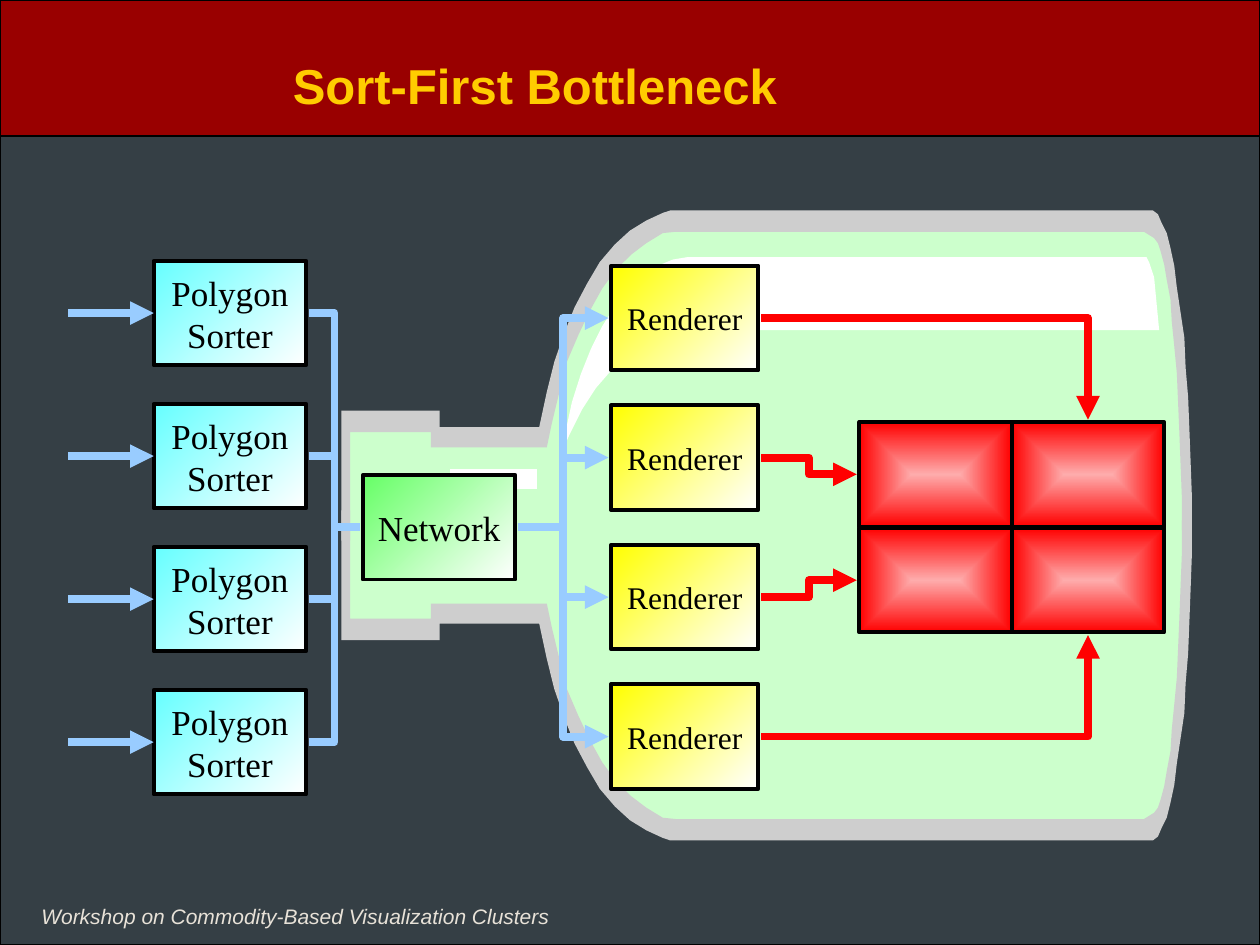
from lxml import etree
from pptx import Presentation
from pptx.dml.color import RGBColor
from pptx.enum import shapes as kinds, text as alignment
from pptx.oxml.ns import qn
from pptx.util import Inches, Pt

TITLE = "Sort-First Bottleneck"
FOOTER = "Workshop on Commodity-Based Visualization Clusters"
SORTER, NETWORK, RENDERER = "Polygon Sorter", "Network", "Renderer"

SLATE = RGBColor(0x35, 0x3F, 0x45)
MAROON = RGBColor(0x99, 0x00, 0x00)
GOLD = RGBColor(0xFF, 0xCC, 0x00)
CREAM = RGBColor(0xE8, 0xE2, 0xD8)
BLACK = RGBColor(0x00, 0x00, 0x00)
WHITE = RGBColor(0xFF, 0xFF, 0xFF)
GLASS = RGBColor(0xCC, 0xFF, 0xCC)
GREY = RGBColor(0xCE, 0xCE, 0xCE)
YELLOW = RGBColor(0xFF, 0xFF, 0x00)
CYAN = RGBColor(0x66, 0xFF, 0xFF)
GREEN = RGBColor(0x66, 0xFF, 0x66)
PINK = RGBColor(0xFE, 0xAC, 0xAC)
RED = RGBColor(0xFF, 0x00, 0x00)
BLUE = RGBColor(0x99, 0xCC, 0xFF)

BOTTLE_AXIS = 4.17
BODY_TOP = [
    (2.75, 3.35), (3.46, 3.35), (3.46, 3.47), (4.3, 3.47), (4.35, 3.22), (4.42, 2.97),
    (4.49, 2.73), (4.59, 2.53), (4.68, 2.34), (4.79, 2.18), (4.9, 2.03), (5.03, 1.92),
    (5.16, 1.83), (5.28, 1.77), (5.35, 1.75), (9.12, 1.75), (9.22, 1.87), (9.3, 2.16),
    (9.36, 2.61), (9.4, 3.18), (9.42, 3.8), (9.42, 4.17)]
RIM_TOP = [
    (9.13, 1.67), (9.15, 1.67), (9.19, 1.7), (9.22, 1.77), (9.26, 1.85), (9.29, 1.97),
    (9.32, 2.11), (9.34, 2.28), (9.37, 2.48), (9.4, 2.68), (9.41, 2.92), (9.43, 3.15),
    (9.44, 3.41), (9.45, 3.67), (9.46, 3.95), (9.46, 4.22), (9.38, 4.21), (9.38, 3.94),
    (9.37, 3.69), (9.36, 3.43), (9.35, 3.19), (9.34, 2.96), (9.32, 2.75), (9.3, 2.55),
    (9.29, 2.38), (9.26, 2.22), (9.24, 2.1), (9.21, 1.99), (9.19, 1.93), (9.16, 1.89),
    (9.08, 1.84), (5.36, 1.84), (5.26, 1.85), (5.13, 1.93), (5.01, 2.02), (4.89, 2.14),
    (4.78, 2.29), (4.68, 2.47), (4.59, 2.66), (4.5, 2.87), (4.44, 3.11), (4.38, 3.36),
    (4.34, 3.55), (3.42, 3.55), (3.42, 3.43), (2.78, 3.43), (2.78, 4.29), (2.71, 4.29),
    (2.71, 3.26), (3.49, 3.26), (3.49, 3.39), (4.28, 3.39), (4.34, 3.11), (4.4, 2.87),
    (4.48, 2.64), (4.56, 2.44), (4.66, 2.25), (4.76, 2.08), (4.88, 1.94), (5, 1.83),
    (5.13, 1.75), (5.26, 1.69), (5.32, 1.67)]
SHINE = [
    (9.1, 2.04), (9.12, 2.08), (9.16, 2.2), (9.2, 2.62), (5.39, 2.62), (5.25, 2.65),
    (5.11, 2.72), (4.98, 2.82), (4.86, 2.93), (4.73, 3.08), (4.62, 3.25), (4.52, 3.45),
    (4.46, 3.59), (4.49, 3.42), (4.54, 3.19), (4.61, 2.97), (4.69, 2.77), (4.78, 2.59),
    (4.88, 2.43), (4.99, 2.3), (5.1, 2.19), (5.22, 2.11), (5.34, 2.06), (5.46, 2.04)]
NECK_SHINE = [(4.26, 3.72), (4.26, 3.88), (3.57, 3.88), (3.57, 3.72)]

BOX_WIDTH, BOX_HEIGHT, GAP = 1.21, 0.83, 0.02
ROWS = 4
SORTER_LEFT, SORTER_TOP, SORTER_PITCH = 1.22, 2.07, 1.135
NETWORK_LEFT, NETWORK_TOP = 2.88, 3.77
RENDERER_LEFT, RENDERER_TOP, RENDERER_PITCH, RENDERER_WIDTH = 4.85, 2.11, 1.107, 1.17
TILE_LEFT, TILE_TOP, TILE_PITCH = 6.82, 3.35, 0.84
INPUT_LEFT = 0.54


def mirrored(points):
    return [(x, 2 * BOTTLE_AXIS - y) for x, y in points]


def add_outline(shapes, points, color):
    start, *others = [(Inches(x), Inches(y)) for x, y in points]
    builder = shapes.build_freeform(*start)
    builder.add_line_segments(others, close=True)
    shape = builder.convert_to_shape()
    shape.shadow.inherit = False
    shape.fill.solid()
    shape.fill.fore_color.rgb = color
    shape.line.fill.background()


def add_rectangle(shapes, left, top, width, height, line_width):
    shape = shapes.add_shape(kinds.MSO_SHAPE.RECTANGLE, *map(Inches, (left, top, width, height)))
    shape.shadow.inherit = False
    shape.line.color.rgb = BLACK
    shape.line.width = Pt(line_width)
    return shape


def add_box(shapes, left, top, width, light, dark):
    shape = add_rectangle(shapes, left, top, width, BOX_HEIGHT, 2.25)
    shape.fill.gradient()
    shape.fill.gradient_angle = 135
    for stop, color in zip(shape.fill.gradient_stops, (light, dark)):
        stop.color.rgb = color
    return shape


def add_text(shape, words, font, size, color, align=alignment.PP_ALIGN.CENTER):
    frame = shape.text_frame
    frame.word_wrap = True
    frame.vertical_anchor = alignment.MSO_ANCHOR.MIDDLE
    paragraph = frame.paragraphs[0]
    paragraph.alignment = align
    run = paragraph.add_run()
    run.text = words
    run.font.name = font
    run.font.size = Pt(size)
    run.font.color.rgb = color
    return run


def add_label_box(shapes, left, top, width, color, words, size):
    shape = add_box(shapes, left, top, width, WHITE, color)
    add_text(shape, words, "Times New Roman", size, BLACK)
    return shape


def add_tile(shapes, left, top):
    shape = add_box(shapes, left, top, BOX_WIDTH, PINK, RED)
    gradient = shape.element.spPr.find(qn("a:gradFill"))
    center = etree.Element(qn("a:path"), {"path": "rect"})
    etree.SubElement(center, qn("a:fillToRect"), {side: "50000" for side in "ltrb"})
    gradient.replace(gradient.find(qn("a:lin")), center)


def add_link(shapes, kind, start, end, color, arrow=True, corner=False):
    connector = shapes.add_connector(kind, *map(Inches, (*start, *end)))
    connector.line.color.rgb = color
    connector.line.width = Pt(4.5)
    properties = connector.element.spPr
    if arrow:
        etree.SubElement(properties.find(qn("a:ln")), qn("a:tailEnd"), type="triangle")
    if corner:
        properties.find(qn("a:prstGeom")).set("prst", "bentConnector2")
    etree.SubElement(properties, qn("a:effectLst"))
    return connector


def add_frame(slide):
    shapes = slide.shapes
    slide.background.fill.solid()
    slide.background.fill.fore_color.rgb = SLATE
    add_rectangle(shapes, 0, 0, 10, 7.5, 0.75).fill.background()
    bar = add_rectangle(shapes, 0, 0, 10, 1.08, 0.75)
    bar.fill.solid()
    bar.fill.fore_color.rgb = MAROON
    footer = shapes.add_textbox(*map(Inches, (0.23, 7.12, 4.24, 0.3)))
    add_text(footer, FOOTER, "Arial", 12, CREAM, alignment.PP_ALIGN.LEFT).font.italic = True
    footer.text_frame.word_wrap = False
    title = shapes.title
    title.left, title.top, title.width, title.height = map(Inches, (0.58, 0.17, 7.33, 1))
    add_text(title, TITLE, "Arial", 28, GOLD).font.bold = True
    title.element.getparent().append(title.element)


def add_bottle(shapes):
    add_outline(shapes, BODY_TOP + mirrored(BODY_TOP)[::-1], GLASS)
    add_outline(shapes, SHINE, WHITE)
    add_outline(shapes, NECK_SHINE, WHITE)
    add_outline(shapes, RIM_TOP, GREY)
    add_outline(shapes, mirrored(RIM_TOP), GREY)


def add_pipeline(shapes):
    elbow, straight = kinds.MSO_CONNECTOR.ELBOW, kinds.MSO_CONNECTOR.STRAIGHT
    half = BOX_HEIGHT / 2
    renderer_tops = [RENDERER_TOP + row * RENDERER_PITCH for row in range(ROWS)]
    sorter_tops = [SORTER_TOP + row * SORTER_PITCH for row in range(ROWS)]

    renderers = shapes.add_group_shape().shapes
    for top in renderer_tops:
        add_label_box(renderers, RENDERER_LEFT, top, RENDERER_WIDTH, YELLOW, RENDERER, 18)

    tiles = shapes.add_group_shape().shapes
    for column in range(2):
        for row in range(2):
            add_tile(tiles, TILE_LEFT + column * BOX_WIDTH, TILE_TOP + row * TILE_PITCH)

    outputs = shapes.add_group_shape().shapes
    right_column = TILE_LEFT + 1.5 * BOX_WIDTH
    tile_side = TILE_LEFT - GAP
    targets = [(right_column, TILE_TOP - GAP), (tile_side, TILE_TOP + half),
               (tile_side, TILE_TOP + TILE_PITCH + half),
               (right_column, TILE_TOP + TILE_PITCH + BOX_HEIGHT + GAP)]
    for top, target in zip(renderer_tops, targets):
        start = (RENDERER_LEFT + RENDERER_WIDTH + GAP, top + half)
        add_link(outputs, elbow, start, target, RED, corner=target[0] == right_column)

    for top in sorter_tops:
        sorter = add_label_box(shapes, SORTER_LEFT, top, BOX_WIDTH, CYAN, SORTER, 20)
        middle = top + half
        arrow = add_link(shapes, straight, (INPUT_LEFT, middle), (SORTER_LEFT, middle), BLUE)
        arrow.end_connect(sorter, 1)

    add_label_box(shapes, NETWORK_LEFT, NETWORK_TOP, BOX_WIDTH, GREEN, NETWORK, 20)
    network_middle = NETWORK_TOP + half
    network_right = (NETWORK_LEFT + BOX_WIDTH + GAP, network_middle)
    network_left = (NETWORK_LEFT - GAP, network_middle)
    for top in renderer_tops:
        add_link(shapes, elbow, network_right, (RENDERER_LEFT - GAP, top + half), BLUE)
    for top in sorter_tops:
        start = (SORTER_LEFT + BOX_WIDTH + GAP, top + half)
        add_link(shapes, elbow, start, network_left, BLUE, arrow=False)


def main():
    presentation = Presentation()
    presentation.slide_width, presentation.slide_height = Inches(10), Inches(7.5)
    slide = presentation.slides.add_slide(presentation.slide_layouts[5])
    add_frame(slide)
    add_bottle(slide.shapes.add_group_shape().shapes)
    add_pipeline(slide.shapes)
    presentation.save("out.pptx")


if __name__ == "__main__":
    main()
